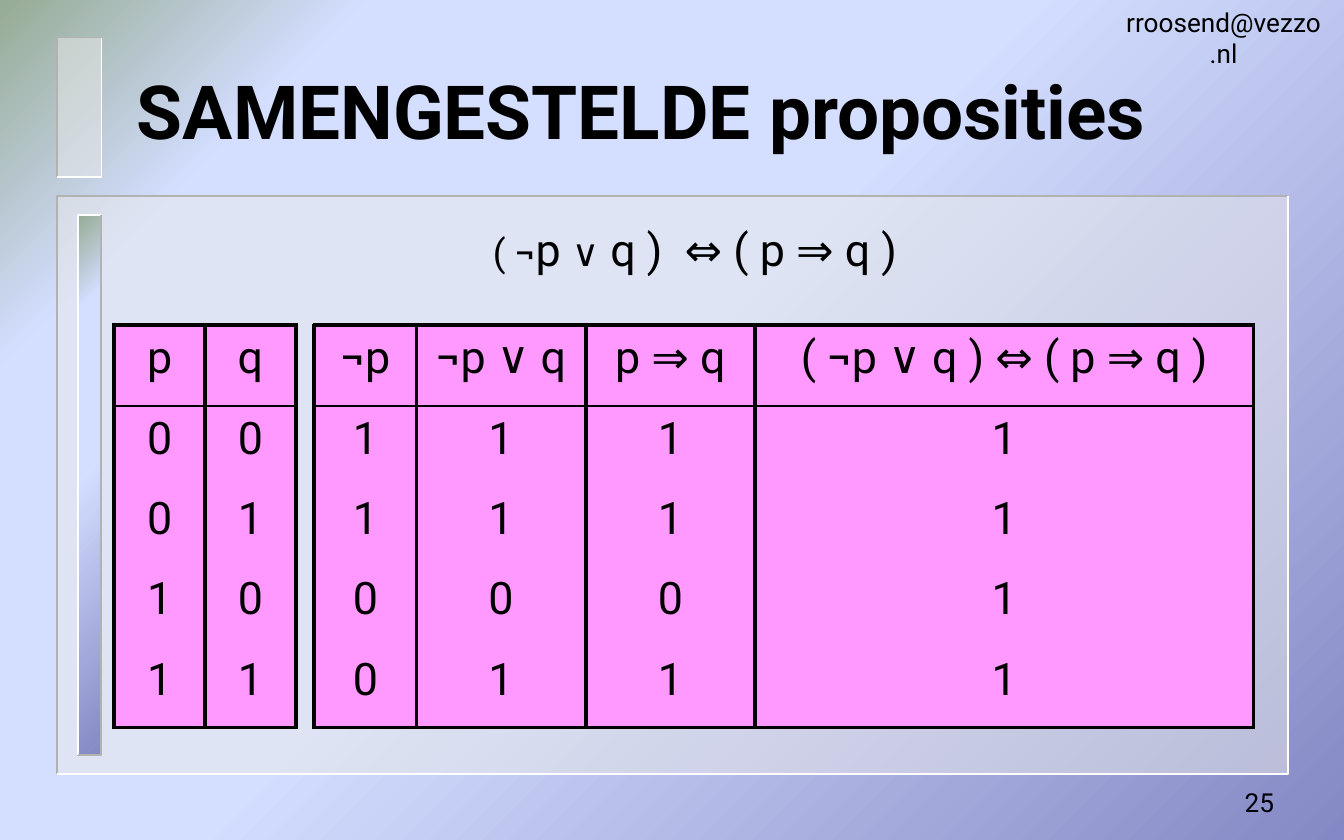
from lxml import etree
from pptx import Presentation
from pptx.dml.color import RGBColor
from pptx.enum.shapes import MSO_SHAPE
from pptx.enum.text import MSO_ANCHOR, PP_ALIGN
from pptx.oxml.ns import qn
from pptx.util import Cm, Pt

RECTANGLE = MSO_SHAPE.RECTANGLE
TOP, MIDDLE = MSO_ANCHOR.TOP, MSO_ANCHOR.MIDDLE
LEFT, CENTER, RIGHT = PP_ALIGN.LEFT, PP_ALIGN.CENTER, PP_ALIGN.RIGHT

FONT = "Roboto"
BLACK, WHITE, GRAY, PALE, PINK = "000000", "FFFFFF", "B2B2B2", "EAEAEA", "FF99FF"
GRADIENT = [(0, "8488C4"), (53, "D4DEFF"), (83, "D4DEFF"), (100, "96AB94")]
THICK, THIN = 2.25, 1

TABLE_TOP, ROW_HEIGHT, TABLE_GAP = 6.15, 1.52, 0.35
INPUT_LEFT, INPUT_WIDTH = 2.16, 1.715
INPUTS = [("p", "0011"), ("q", "0101")]
RESULTS = [
    (1.93, "¬p", "1100"),
    (3.2, "¬p ∨ q", "1101"),
    (3.2, "p ⇒ q", "1101"),
    (9.42, "( ¬p ∨ q ) ⇔ ( p ⇒ q )", "1111"),
]


def color(value):
    return RGBColor.from_string(value)


def add_color(parent, value):
    return etree.SubElement(parent, qn("a:srgbClr"), val=value)


def fill_gradient(fill, element):
    """Fill with the diagonal deck gradient; element is the XML that holds the fill."""
    fill.gradient()
    fill.gradient_angle = 135
    stops = next(element.iter(qn("a:gsLst")))
    for stop in list(stops):
        stops.remove(stop)
    for percent, value in GRADIENT:
        add_color(etree.SubElement(stops, qn("a:gs"), pos=str(percent * 1000)), value)


def fill_translucent(shape, value):
    shape.fill.solid()
    shape.fill.fore_color.rgb = color(value)
    solid = next(shape.element.iter(qn("a:srgbClr")))
    etree.SubElement(solid, qn("a:alpha"), val="50000")


def add_edge(page, points, value):
    start, *rest = [(Cm(x), Cm(y)) for x, y in points]
    builder = page.shapes.build_freeform(*start)
    builder.add_line_segments(rest, close=False)
    edge = builder.convert_to_shape()
    edge.shadow.inherit = False
    edge.fill.background()
    edge.line.color.rgb = color(value)
    edge.line.width = Pt(1)


def add_bevel(page, left, top, width, height, upper, lower, translucent=True):
    """Panel with one colour on its top left edges and one on its bottom right edges."""
    panel = page.shapes.add_shape(RECTANGLE, Cm(left), Cm(top), Cm(width), Cm(height))
    panel.shadow.inherit = False
    panel.line.fill.background()
    if translucent:
        fill_translucent(panel, PALE)
    else:
        fill_gradient(panel.fill, panel.element)
    right, bottom = left + width, top + height
    add_edge(page, [(right, top), (left, top), (left, bottom)], upper)
    add_edge(page, [(right, top), (right, bottom), (left, bottom)], lower)


def write(para, spans, align, bold=False):
    """Write (text, size) spans into a paragraph."""
    para.alignment = align
    for text, size in spans:
        span = para.add_run()
        span.text = text
        looks = {"name": FONT, "size": Pt(size), "bold": bold}
        for name, value in looks.items():
            setattr(span.font, name, value)
        span.font.color.rgb = color(BLACK)


def add_text(page, place, spans, align, anchor=MIDDLE, wrap=True, bold=False):
    box = page.shapes.add_textbox(*[Cm(length) for length in place])
    box.text_frame.word_wrap = wrap
    box.text_frame.vertical_anchor = anchor
    write(box.text_frame.paragraphs[0], spans, align, bold)


def set_borders(cell, widths):
    """Set borders from a dict of side to points, where 0 means no line."""
    properties = cell._tc.get_or_add_tcPr()
    for index, (side, points) in enumerate(widths.items()):
        line = etree.Element(qn(f"a:ln{side}"), w=str(Pt(points)))
        if points:
            add_color(etree.SubElement(line, qn("a:solidFill")), BLACK)
        else:
            etree.SubElement(line, qn("a:noFill"))
        properties.insert(index, line)


def add_truth_table(page, left, column_width, columns):
    """Add a table of (heading, truth values) columns."""
    row_count = len(columns[0][1]) + 1
    table = page.shapes.add_table(
        row_count, len(columns), Cm(left), Cm(TABLE_TOP),
        Cm(column_width * len(columns)), Cm(ROW_HEIGHT * row_count),
    ).table
    table.first_row = table.horz_banding = False
    for row in table.rows:
        row.height = Cm(ROW_HEIGHT)
    rules = [THICK, THIN] + [0] * (row_count - 2) + [THICK]
    for column_index, (heading, values) in enumerate(columns):
        table.columns[column_index].width = Cm(column_width)
        for row_index, text in enumerate([heading, *values]):
            cell = table.cell(row_index, column_index)
            cell.fill.solid()
            cell.fill.fore_color.rgb = color(PINK)
            set_borders(cell, {"L": THICK, "R": THICK,
                               "T": rules[row_index], "B": rules[row_index + 1]})
            write(cell.text_frame.paragraphs[0], [(text, 24)], CENTER)


def main():
    deck = Presentation()
    deck.slide_width, deck.slide_height = Cm(25.4), Cm(15.88)
    page = deck.slides.add_slide(deck.slide_layouts[6])
    fill_gradient(page.background.fill, page.element)

    add_bevel(page, 1.08, 3.7, 23.26, 10.94, GRAY, WHITE)
    add_bevel(page, 1.47, 4.06, 0.44, 10.22, WHITE, GRAY, translucent=False)
    add_bevel(page, 1.08, 0.71, 0.84, 2.64, GRAY, WHITE)

    add_text(page, (2.34, 0.79, 21.59, 2.57),
             [("SAMENGESTELDE proposities", 40)], LEFT, bold=True)
    add_text(page, (2.34, 4.06, 21.59, 9.53),
             [("( ¬", 20), ("p ", 24), ("∨", 20), (" q )  ⇔ ( p ⇒ q )", 24)],
             CENTER, anchor=TOP)
    add_text(page, (21.03, 0.18, 4.19, 1.07), [("rroosend@vezzo.nl", 14)],
             CENTER, wrap=False)
    add_text(page, (19.05, 14.63, 5.28, 1.07), [("25", 14)], RIGHT, wrap=False)

    add_truth_table(page, INPUT_LEFT, INPUT_WIDTH, INPUTS)
    left = INPUT_LEFT + INPUT_WIDTH * len(INPUTS) + TABLE_GAP
    for width, heading, values in RESULTS:
        add_truth_table(page, left, width, [(heading, values)])
        left += width

    deck.save("out.pptx")


if __name__ == "__main__":
    main()
